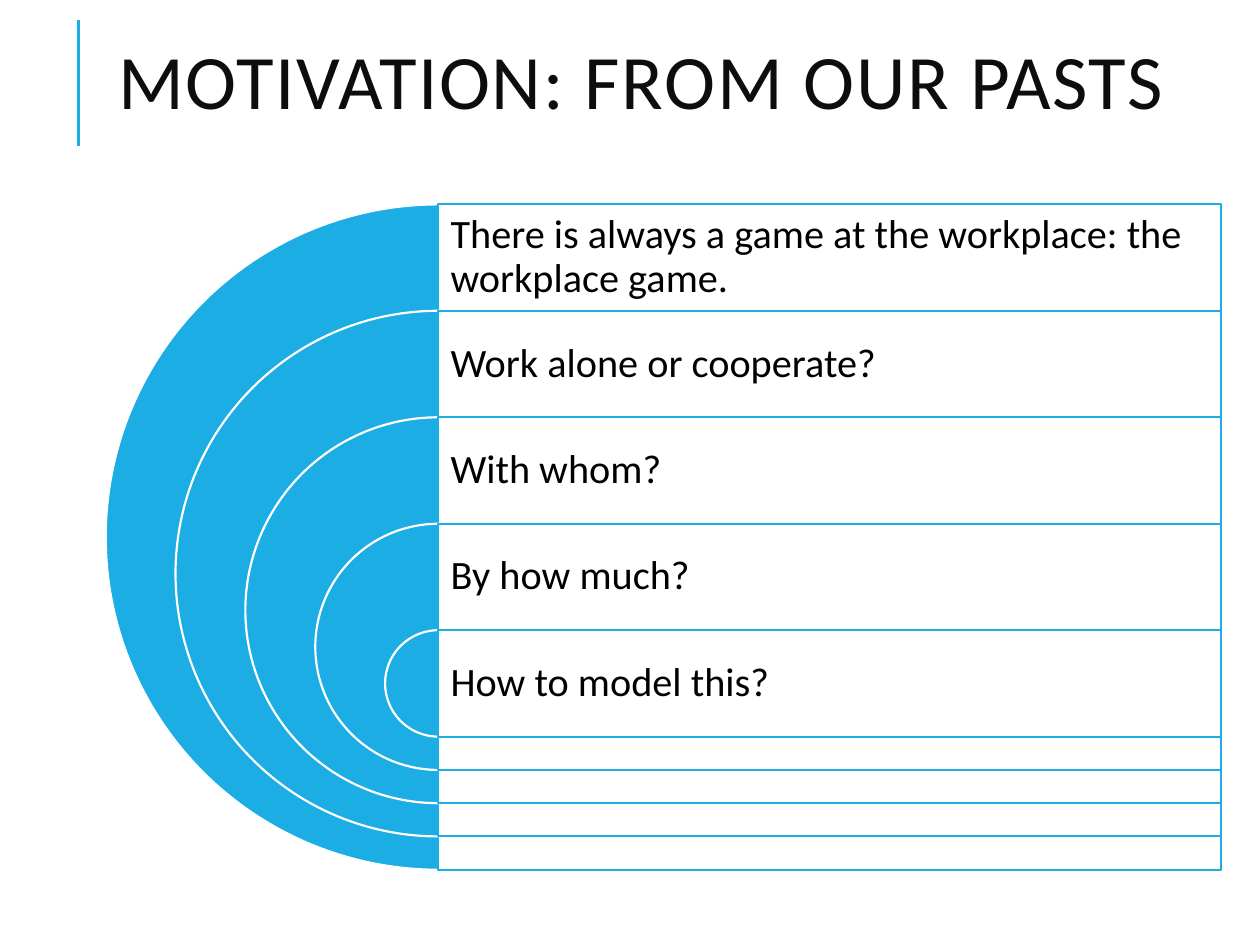
"""Build the motivation slide: five nested half discs, each with its question."""
from dataclasses import dataclass

from lxml import etree
from pptx import Presentation
from pptx.dml.color import RGBColor
from pptx.enum.shapes import MSO_CONNECTOR, MSO_SHAPE
from pptx.enum.text import MSO_ANCHOR, PP_ALIGN
from pptx.oxml.ns import qn
from pptx.util import Pt

PIE, RECTANGLE = MSO_SHAPE.PIE, MSO_SHAPE.RECTANGLE
STRAIGHT = MSO_CONNECTOR.STRAIGHT
MIDDLE, LEFT = MSO_ANCHOR.MIDDLE, PP_ALIGN.LEFT
TITLE_ONLY = 5

COLORS = {"accent": "1CADE4", "paper": "FFFFFF", "title": "0D0D0D", "text": "000000"}
FONT = "Calibri"
AXIS_X, TOP = 250.5, 116.8
DIAMETER, PANEL_WIDTH = 380.2, 447.2
ROW_HEIGHT = 0.16 * DIAMETER
DIAMETER_STEP = 0.21 * DIAMETER
QUESTIONS = (
    "There is always a game at the workplace: the workplace game.",
    "Work alone or cooperate?",
    "With whom?",
    "By how much?",
    "How to model this?",
)


@dataclass(frozen=True)
class Layer:
    """One half disc with its panel and question."""

    question: str
    top: float
    diameter: float


def color(name: str) -> RGBColor:
    """Look up a named colour."""
    return RGBColor.from_string(COLORS[name])


def write(box, text: str, size: float, ink: str, spacing: float):
    """Put one formatted paragraph in a box and return its span."""
    frame = box.text_frame
    frame_format = {"word_wrap": True, "vertical_anchor": MIDDLE}
    for name, value in frame_format.items():
        setattr(frame, name, value)
    para = frame.paragraphs[0]
    para_format = {"alignment": LEFT, "line_spacing": spacing}
    for name, value in para_format.items():
        setattr(para, name, value)
    span = para.add_run()
    span.text = text
    span_format = {"name": FONT, "size": Pt(size)}
    for name, value in span_format.items():
        setattr(span.font, name, value)
    span.font.color.rgb = color(ink)
    return span


def draw_shape(group, kind, bounds: tuple, fill: str, line: str):
    """Draw a filled and outlined preset shape."""
    shape = group.shapes.add_shape(kind, *map(Pt, bounds))
    shape.shadow.inherit = False
    shape.fill.solid()
    shape.fill.fore_color.rgb = color(fill)
    shape.line.color.rgb = color(line)
    shape.line.width = Pt(1.25)
    return shape


def draw_layer(group, layer: Layer) -> None:
    """Draw a half disc, its translucent panel and its question."""
    size = layer.diameter
    disc_bounds = (AXIS_X - size / 2, layer.top, size, size)
    disc = draw_shape(group, PIE, disc_bounds, "accent", "paper")
    disc.adjustments[0], disc.adjustments[1] = 54, 162

    panel_bounds = (AXIS_X, layer.top, PANEL_WIDTH, size)
    panel = draw_shape(group, RECTANGLE, panel_bounds, "paper", "accent")
    fill_color = panel.fill._xPr.find(qn("a:solidFill"))[0]
    etree.SubElement(fill_color, qn("a:alpha"), val="90000")

    box_bounds = (AXIS_X, layer.top, PANEL_WIDTH, ROW_HEIGHT)
    box = group.shapes.add_textbox(*map(Pt, box_bounds))
    for side in ("left", "top", "right", "bottom"):
        setattr(box.text_frame, f"margin_{side}", Pt(7))
    write(box, layer.question, 23, "text", 0.9)


def draw_title(page) -> None:
    """Place the title and the accent line at its left."""
    rule = page.shapes.add_connector(STRAIGHT, Pt(45), Pt(83.5), Pt(45), Pt(11.5))
    rule.line.color.rgb = color("accent")
    rule.line.width = Pt(1.5)
    etree.SubElement(rule._element.spPr, qn("a:effectLst"))

    title = page.shapes.title
    bounds = {"left": 60.5, "top": 3.6, "width": 637.2, "height": 92.2}
    for name, value in bounds.items():
        setattr(title, name, Pt(value))
    span = write(title, "MOTIVATION: FROM OUR PASTS", 44, "title", 0.8)
    span.font._element.set("spc", "100")


def main() -> None:
    """Build and save the deck."""
    deck = Presentation()
    deck.slide_width, deck.slide_height = Pt(720), Pt(540)
    page = deck.slides.add_slide(deck.slide_layouts[TITLE_ONLY])
    draw_title(page)
    group = page.shapes.add_group_shape()
    for index, question in enumerate(QUESTIONS):
        top = TOP + index * ROW_HEIGHT
        draw_layer(group, Layer(question, top, DIAMETER - index * DIAMETER_STEP))
    deck.save("out.pptx")


if __name__ == "__main__":
    main()
